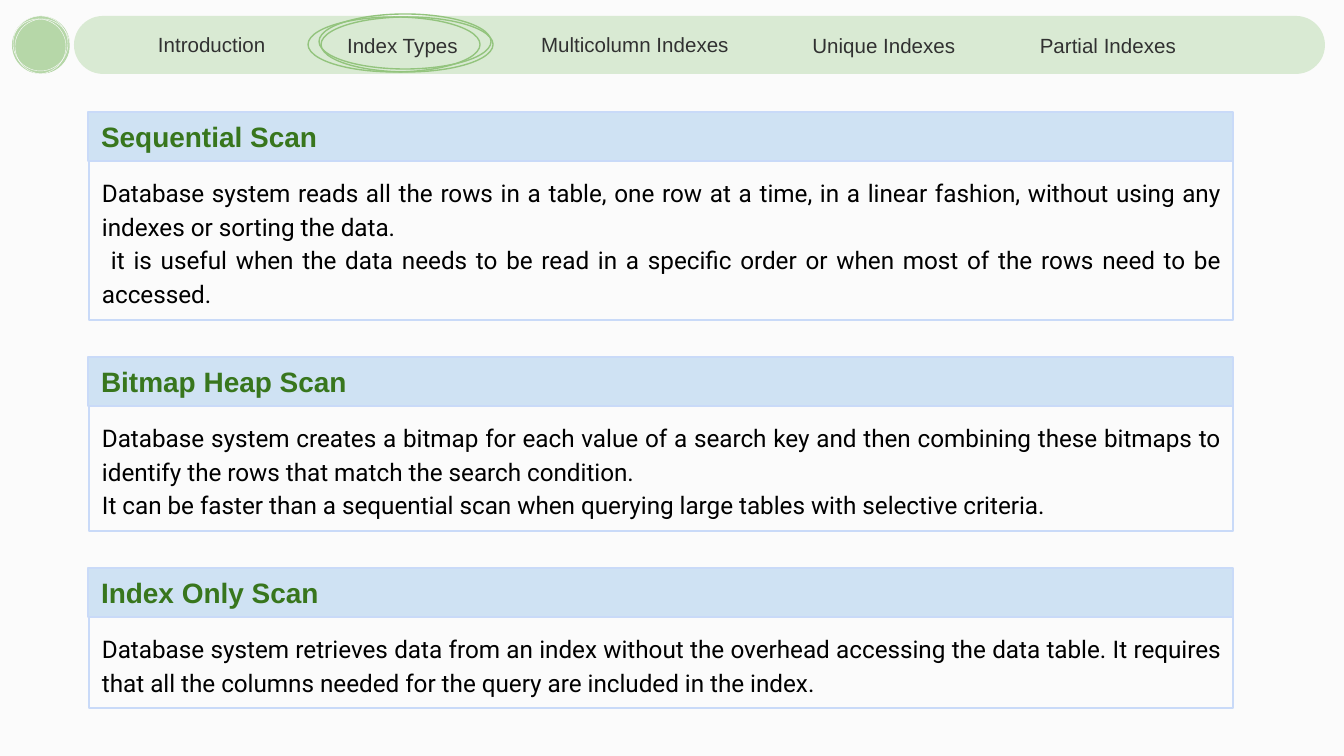
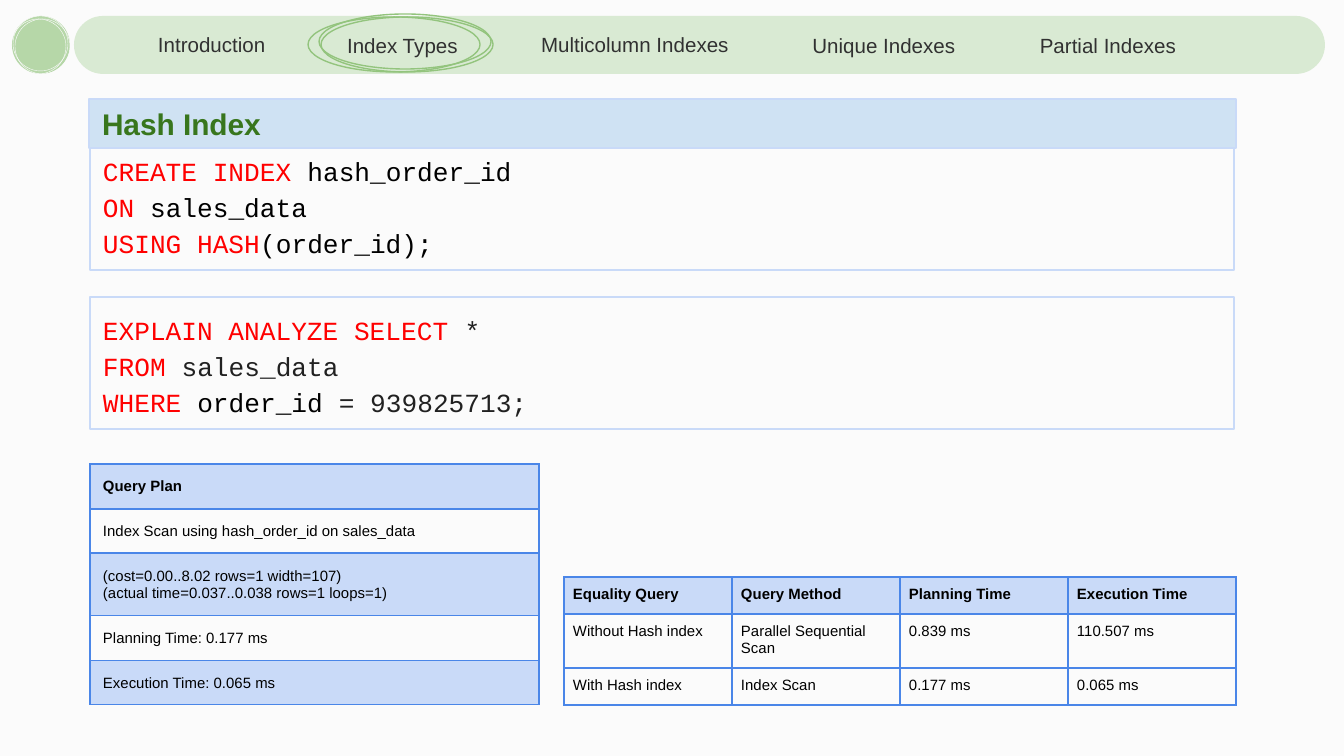
from lxml import etree
from pptx import Presentation
from pptx import util as u
from pptx.dml.color import RGBColor
from pptx.enum import shapes, text
from pptx.oxml.ns import qn

PX = 12700 * 72 / 134.4  # EMU in one px
SLIDE_W, SLIDE_H = 1344, 756

PAPER = RGBColor(0xFB, 0xFB, 0xFB)
NAV_GREEN = RGBColor(0xD9, 0xEA, 0xD3)
BADGE_GREEN = RGBColor(0xB6, 0xD7, 0xA8)
RING_GREEN = RGBColor(0x93, 0xC4, 0x7D)
TITLE_GREEN = RGBColor(0x38, 0x76, 0x1D)
TITLE_BLUE = RGBColor(0xCF, 0xE2, 0xF3)
PALE_BLUE = RGBColor(0xC9, 0xDA, 0xF8)
GRID_BLUE = RGBColor(0x4A, 0x86, 0xE8)
NAV_GREY = RGBColor(0x31, 0x31, 0x31)
CODE_GREY = RGBColor(0x21, 0x21, 0x21)
RED = RGBColor(0xFF, 0, 0)
BLACK = RGBColor(0, 0, 0)

LEFT, CENTER, JUSTIFY = text.PP_ALIGN.LEFT, text.PP_ALIGN.CENTER, text.PP_ALIGN.JUSTIFY
TOP, MIDDLE = text.MSO_ANCHOR.TOP, text.MSO_ANCHOR.MIDDLE
RECT, OVAL = shapes.MSO_SHAPE.RECTANGLE, shapes.MSO_SHAPE.OVAL
PILL = shapes.MSO_SHAPE.ROUNDED_RECTANGLE

# Text formats
NAV = {"name": "Arial", "size": u.Pt(11)}
HEADING = {"name": "Arial", "size": u.Pt(15), "bold": True}
BIG_HEADING = {**HEADING, "size": u.Pt(16)}
BODY = {"name": "Roboto", "size": u.Pt(13)}
CODE = {"name": "Courier New", "size": u.Pt(14)}
CELL = {"name": "Arial", "size": u.Pt(8), "bold": False}
CELL_HEAD = {**CELL, "bold": True}

# Content: label, left, top, width, alignment
NAV_ITEMS = [
    ("Introduction", 145, 30, 214, LEFT),
    ("Index Types", 316, 31, 173, CENTER),
    ("Multicolumn Indexes", 516, 30, 238, CENTER),
    ("Unique Indexes", 777, 31, 214, CENTER),
    ("Partial Indexes", 1001, 31, 214, CENTER),
]
BADGE_RINGS = [(13, 16), (11, 19), (15, 19)]
ACTIVE_RINGS = [(319, 14), (308, 17), (321, 17)]

# Title, lines shown, paragraphs as (text, first-line indent)
SCANS = [
    ("Sequential Scan", 4, [
        ("Database system reads all the rows in a table, one row at a time, in a linear "
         "fashion, without using any indexes or sorting the data.", 0),
        ("it is useful when the data needs to be read in a specific order or when most of "
         "the rows need to be accessed.", 9)]),
    ("Bitmap Heap Scan", 3, [
        ("Database system creates a bitmap for each value of a search key and then combining "
         "these bitmaps to identify the rows that match the search condition.", 0),
        ("It can be faster than a sequential scan when querying large tables with selective "
         "criteria.", 0)]),
    ("Index Only Scan", 2, [
        ("Database system retrieves data from an index without the overhead accessing the "
         "data table. It requires that all the columns needed for the query are included in "
         "the index.", 0)]),
]

CREATE_SQL = [
    [("CREATE INDEX", RED), (" hash_order_id", BLACK)],
    [("ON", RED), (" sales_data", BLACK)],
    [("USING HASH", RED), ("(order_id);", BLACK)],
]
EXPLAIN_SQL = [
    [("EXPLAIN ANALYZE SELECT ", RED), ("*", CODE_GREY)],
    [("FROM ", RED), ("sales_data", CODE_GREY)],
    [("WHERE ", RED), ("order_id ", BLACK), ("= 939825713;", CODE_GREY)],
]
QUERY_PLAN = [
    ["Query Plan"],
    ["Index Scan using hash_order_id on sales_data"],
    ["(cost=0.00..8.02 rows=1 width=107)\n(actual time=0.037..0.038 rows=1 loops=1)"],
    ["Planning Time: 0.177 ms"],
    ["Execution Time: 0.065 ms"],
]
TIMINGS = [
    ["Equality Query", "Query Method", "Planning Time", "Execution Time"],
    ["Without Hash index", "Parallel Sequential Scan", "0.839 ms", "110.507 ms"],
    ["With Hash index", "Index Scan", "0.177 ms", "0.065 ms"],
]

# Panel geometry
BAR_X, BAR_W, BAR_H = 88, 1145, 49
BOX_X, BOX_W = 89, 1144
LINE_H, BOX_PAD, PANEL_GAP = 34, 23, 37


def px(*lengths):
    return [round(n * PX) for n in lengths]


def draw(parent, kind, box, fill=None, line=None, weight=0.75):
    part = parent.shapes.add_shape(kind, *px(*box))
    part.shadow.inherit = False
    if fill is None:
        part.fill.background()
    else:
        part.fill.solid()
        part.fill.fore_color.rgb = fill
    if line is None:
        part.line.fill.background()
    else:
        part.line.color.rgb = line
        part.line.width = u.Pt(weight)
    return part


def write(frame, paragraphs, style, align=LEFT, spacing=None):
    """Fill a frame with paragraphs, each a list of (text, colour) runs."""
    for i, runs in enumerate(paragraphs):
        paragraph = frame.add_paragraph() if i else frame.paragraphs[0]
        paragraph.alignment = align
        if spacing:
            paragraph.line_spacing = spacing
        for words, colour in runs:
            run = paragraph.add_run()
            run.text = words
            for key, value in style.items():
                setattr(run.font, key, value)
            run.font.color.rgb = colour


def set_frame(frame, anchor=TOP, right=13):
    margins = px(13, 13, right, 13)
    for side, margin in zip(("left", "top", "right", "bottom"), margins):
        setattr(frame, "margin_" + side, margin)
    frame.word_wrap = True
    frame.vertical_anchor = anchor
    return frame


def title_bar(parent, title, x, y, width, style):
    bar = draw(parent, RECT, (x, y, width, BAR_H), TITLE_BLUE, PALE_BLUE)
    write(set_frame(bar.text_frame, MIDDLE, 0), [[(title, TITLE_GREEN)]], style)


def outlined_box(parent, box, paragraphs, style):
    frame = set_frame(draw(parent, RECT, box, line=PALE_BLUE).text_frame)
    write(frame, paragraphs, style, JUSTIFY, 1.15)
    return frame


def add_grid(slide, rows, x, y, widths, heights, pad, anchor, weight, banded):
    table = slide.shapes.add_table(len(rows), len(widths),
                                   *px(x, y, sum(widths), sum(heights))).table
    table.horz_banding = False
    for column, width in zip(table.columns, px(*widths)):
        column.width = width
    for row, height in zip(table.rows, px(*heights)):
        row.height = height
    for r, row in enumerate(rows):
        for c, words in enumerate(row):
            cell = table.cell(r, c)
            for side in ("left", "top", "right", "bottom"):
                setattr(cell, "margin_" + side, px(pad)[0])
            cell.vertical_anchor = anchor
            write(cell.text_frame, [[(line, BLACK)] for line in words.split("\n")],
                  CELL if r else CELL_HEAD)
            borders(cell, weight)
            if r == 0 or banded and r % 2 == 0:
                cell.fill.solid()
                cell.fill.fore_color.rgb = PALE_BLUE
            else:
                cell.fill.background()


def borders(cell, weight):
    props = cell._tc.get_or_add_tcPr()
    for edge in ("a:lnL", "a:lnR", "a:lnT", "a:lnB"):
        line = etree.SubElement(props, qn(edge), w=str(u.Pt(weight)))
        fill = etree.SubElement(line, qn("a:solidFill"))
        etree.SubElement(fill, qn("a:srgbClr"), val=str(GRID_BLUE))


def new_slide(deck):
    slide = deck.slides.add_slide(deck.slide_layouts[6])
    slide.background.fill.solid()
    slide.background.fill.fore_color.rgb = PAPER
    return slide


def navigation(slide):
    # Round badge
    badge = slide.shapes.add_group_shape()
    draw(badge, OVAL, (12, 16, 58, 58), BADGE_GREEN)
    for x, y in BADGE_RINGS:
        draw(badge, OVAL, (x, y, 55, 55), line=PAPER, weight=0.23)
    # Menu band
    draw(slide, PILL, (74, 16, 1251, 58), NAV_GREEN).adjustments[0] = 0.5
    for label, x, y, width, align in NAV_ITEMS:
        item = slide.shapes.add_textbox(*px(x, y, width, 28))
        write(set_frame(item.text_frame, MIDDLE), [[(label, NAV_GREY)]], NAV, align)
    # Rings round the active item
    active = slide.shapes.add_group_shape()
    for x, y in ACTIVE_RINGS:
        draw(active, OVAL, (x, y, 172, 55), line=RING_GREEN)


def scan_slide(deck):
    slide = new_slide(deck)
    y = 112
    for title, lines, paragraphs in SCANS:
        panel = slide.shapes.add_group_shape()
        title_bar(panel, title, BAR_X, y, BAR_W, HEADING)
        height = lines * LINE_H + BOX_PAD
        frame = outlined_box(panel, (BOX_X, y + BAR_H, BOX_W, height),
                             [[(words, BLACK)] for words, _ in paragraphs], BODY)
        for paragraph, (_, indent) in zip(frame.paragraphs, paragraphs):
            if indent:
                paragraph._p.get_or_add_pPr().set("indent", str(px(indent)[0]))
        y += BAR_H + height + PANEL_GAP
    navigation(slide)


def hash_slide(deck):
    slide = new_slide(deck)
    for y, sql in ((297, EXPLAIN_SQL), (138, CREATE_SQL)):
        outlined_box(slide, (90, y, BOX_W, 132), sql, CODE)
    title_bar(slide, "Hash Index", 89, 99, 1147, BIG_HEADING)
    add_grid(slide, QUERY_PLAN, 90, 464, [449], [45, 44, 63, 45, 44], 13, MIDDLE, 0.75, True)
    add_grid(slide, TIMINGS, 564, 577, [168] * 4, [37, 54, 37], 9, TOP, 1, False)
    navigation(slide)


def main():
    deck = Presentation()
    deck.slide_width, deck.slide_height = px(SLIDE_W, SLIDE_H)
    scan_slide(deck)
    hash_slide(deck)
    deck.save("out.pptx")


if __name__ == "__main__":
    main()
